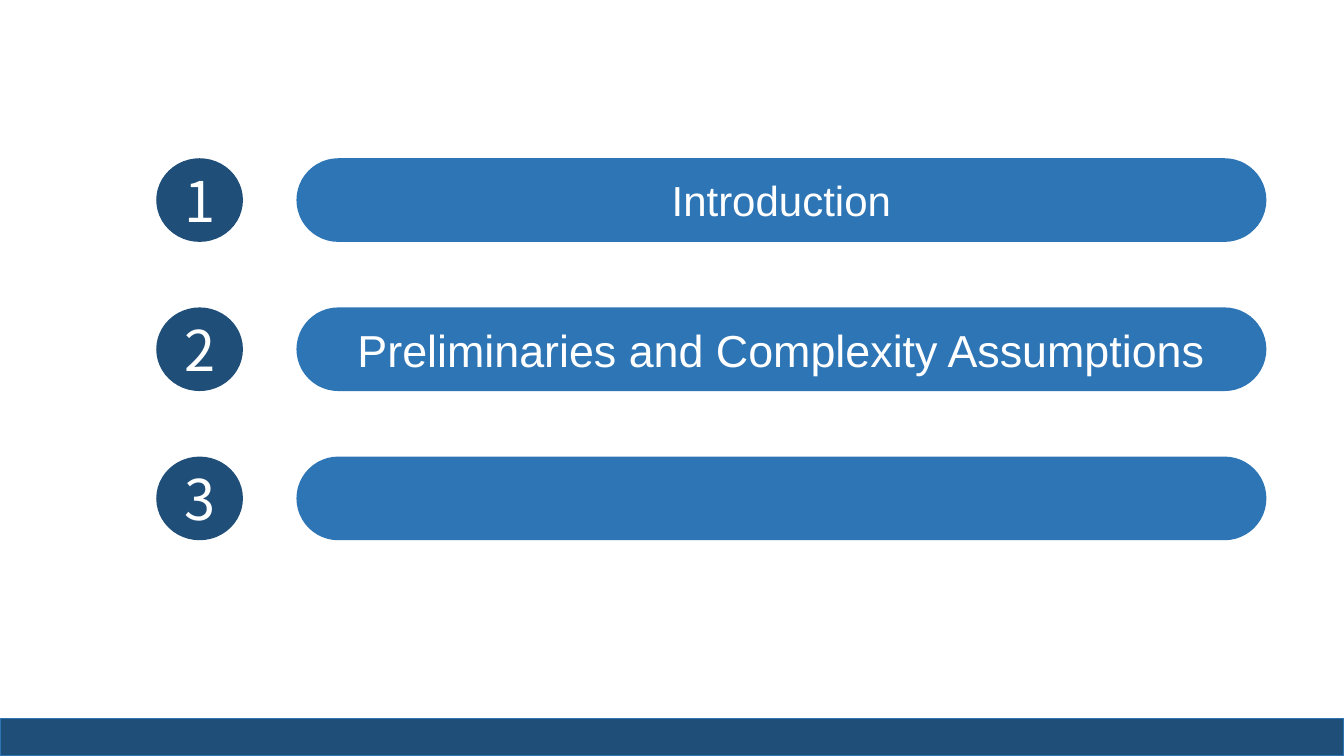
from dataclasses import dataclass

from pptx import Presentation
from pptx import util as u
from pptx.dml.color import RGBColor
from pptx.enum import shapes, text

Kind = shapes.MSO_SHAPE


@dataclass(frozen=True)
class Theme:
    navy: str = "1F4E79"
    blue: str = "2E75B6"
    white: str = "FFFFFF"
    digit_font: str = "Noto Sans CJK SC"
    title_font: str = "Arial"
    digit_size: int = 40
    title_size: int = 30
    large_size: int = 32


@dataclass(frozen=True)
class Box:
    left: float
    top: float
    width: float
    height: float


@dataclass(frozen=True)
class Topic:
    title: str
    size: int


THEME = Theme()
TOPICS = [
    Topic("Introduction", THEME.title_size),
    Topic("Preliminaries and Complexity Assumptions", THEME.large_size),
    Topic("", THEME.title_size),
]
TOP, STEP, HEIGHT = 1.57, 1.48, 0.83


def add_block(slide, kind: Kind, box: Box, color: str):
    block = slide.shapes.add_shape(
        kind,
        u.Inches(box.left),
        u.Inches(box.top),
        u.Inches(box.width),
        u.Inches(box.height),
    )
    block.shadow.inherit = False
    block.fill.solid()
    block.fill.fore_color.rgb = RGBColor.from_string(color)
    block.line.fill.background()
    return block


def set_label(block, label: str, font: str, size: int) -> None:
    frame = block.text_frame
    frame.text = label
    frame.word_wrap = True
    frame.vertical_anchor = text.MSO_ANCHOR.MIDDLE
    line = frame.paragraphs[0]
    line.alignment = text.PP_ALIGN.CENTER
    for run in line.runs:
        run.font.name = font
        run.font.size = u.Pt(size)
        run.font.color.rgb = RGBColor.from_string(THEME.white)


def add_footer(slide) -> None:
    footer = add_block(slide, Kind.RECTANGLE, Box(0, 7.13, 13.33, 0.37), THEME.navy)
    footer.line.color.rgb = RGBColor.from_string(THEME.blue)
    footer.line.width = u.Pt(1)


def add_topic(slide, index: int, topic: Topic) -> None:
    top = TOP + index * STEP
    badge = add_block(slide, Kind.OVAL, Box(1.55, top, 0.86, HEIGHT), THEME.navy)
    set_label(badge, str(index + 1), THEME.digit_font, THEME.digit_size)
    bar = add_block(
        slide, Kind.ROUNDED_RECTANGLE, Box(2.94, top, 9.62, HEIGHT), THEME.blue
    )
    bar.adjustments[0] = 0.5
    if topic.title:
        set_label(bar, topic.title, THEME.title_font, topic.size)


def main() -> None:
    deck = Presentation()
    deck.slide_width = u.Inches(13.33)
    deck.slide_height = u.Inches(7.5)
    slide = deck.slides.add_slide(deck.slide_layouts[6])
    add_footer(slide)
    for index, topic in enumerate(TOPICS):
        add_topic(slide, index, topic)
    deck.save("out.pptx")


if __name__ == "__main__":
    main()
